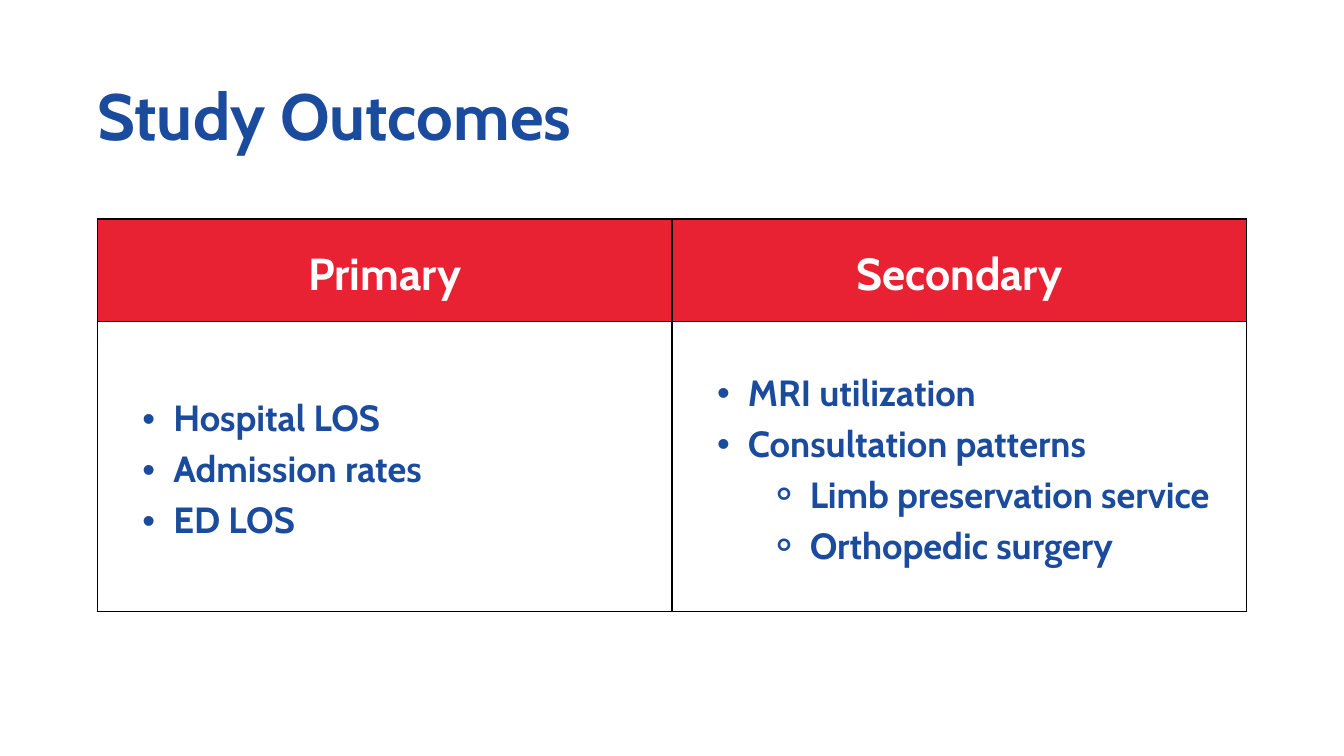
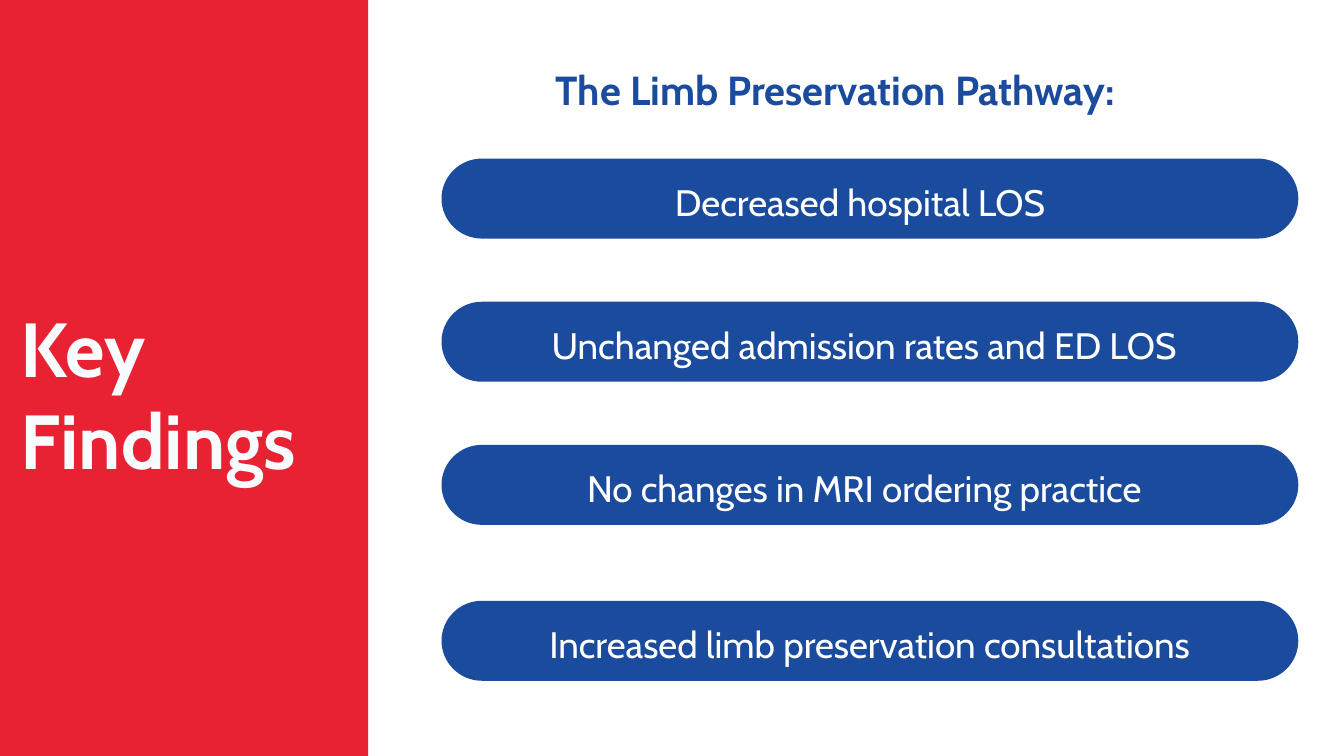
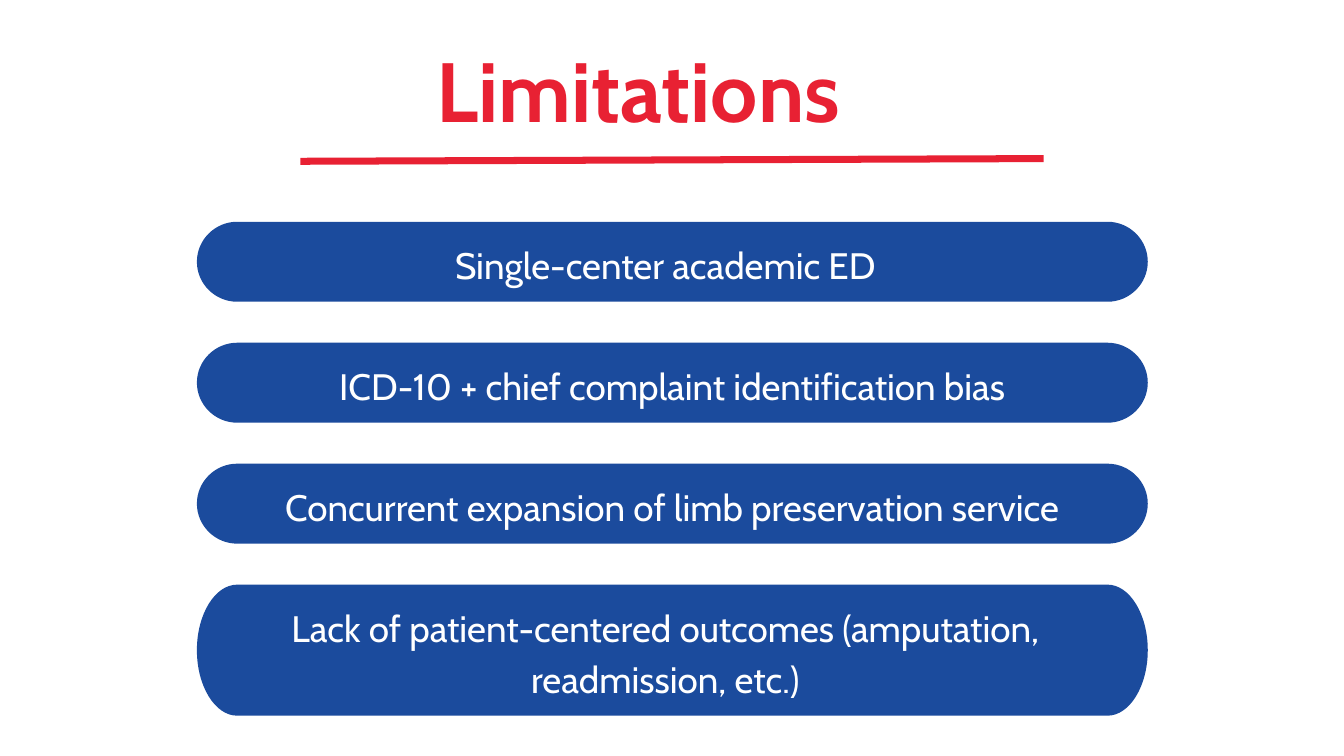
from lxml.etree import SubElement
from pptx import Presentation
from pptx.dml.color import RGBColor
from pptx.enum.shapes import MSO_CONNECTOR, MSO_SHAPE
from pptx.enum.text import MSO_ANCHOR, MSO_AUTO_SIZE, PP_ALIGN
from pptx.oxml.ns import qn
from pptx.util import Inches, Pt

COLORS = {
    "red": "E82133",
    "blue": "1B4B9D",
    "white": "FFFFFF",
    "ice": "F9FCFF",
    "black": "000000",
}
FONT = "Cabin"
PILL_HEIGHT = 1.19
PILL_END = 0.6
LINE_HEIGHT = 0.76
ARC = 0.55  # handle length of a quarter ellipse
BULLETS = {1: ("•", 0.92, -0.46), 2: ("⚬", 1.84, -0.61)}


def rgb(name):
    return RGBColor.from_string(COLORS[name])


def write(p, text, size, spacing, color="blue", bold=False, align=PP_ALIGN.LEFT):
    p.alignment = align
    p.line_spacing = Pt(spacing)
    r = p.add_run()
    r.text = text
    r.font.name = FONT
    r.font.size = Pt(size)
    r.font.bold = bold
    r.font.color.rgb = rgb(color)


def set_frame(tf):
    tf.word_wrap = True
    tf.auto_size = MSO_AUTO_SIZE.NONE
    tf.vertical_anchor = MSO_ANCHOR.TOP
    tf.margin_left = tf.margin_right = tf.margin_top = tf.margin_bottom = 0


def place(shape, left, top, width, height):
    shape.left, shape.top = Inches(left), Inches(top)
    shape.width, shape.height = Inches(width), Inches(height)


def add_title_slide(prs, text, box, size, spacing, color):
    """Add a title-only slide and format its title."""
    s = prs.slides.add_slide(prs.slide_layouts[5])
    title = s.shapes.title
    place(title, *box)
    set_frame(title.text_frame)
    write(title.text_frame.paragraphs[0], text, size, spacing, color, bold=True)
    return s


def add_text(shapes, text, box, size, spacing, **fmt):
    tb = shapes.add_textbox(*map(Inches, box))
    set_frame(tb.text_frame)
    write(tb.text_frame.paragraphs[0], text, size, spacing, **fmt)


def fill_shape(sp, color):
    sp.shadow.inherit = False
    sp.fill.solid()
    sp.fill.fore_color.rgb = rgb(color)
    sp.line.fill.background()


def round_corners(sp):
    """Turn each slanted segment of an outline into a quarter ellipse."""
    points = list(sp.element.iter(qn("a:pt")))
    from_edge = True
    for start, end in zip(points, points[1:]):
        x0, y0, x1, y1 = (int(pt.get(axis)) for pt in (start, end) for axis in "xy")
        if y0 == y1:
            continue
        dx, dy = ARC * (x1 - x0), ARC * (y1 - y0)
        if from_edge:
            handles = (x0 + dx, y0), (x1, y1 - dy)
        else:
            handles = (x0, y0 + dy), (x1 - dx, y1)
        from_edge = not from_edge
        segment = end.getparent()
        curve = SubElement(segment.getparent(), qn("a:cubicBezTo"))
        for x, y in handles:
            SubElement(curve, qn("a:pt"), x=str(round(x)), y=str(round(y)))
        segment.addprevious(curve)
        curve.append(end)
        segment.getparent().remove(segment)


def add_pill(s, text, left, top, width, center, text_width, lines=1):
    """Add a bar with elliptical ends and its label, as one group."""
    extra = LINE_HEIGHT * (lines - 1)
    right, bottom = left + width, top + PILL_HEIGHT + extra
    inner_left, inner_right, middle = left + PILL_END, right - PILL_END, (top + bottom) / 2
    points = [(Inches(x), Inches(y)) for x, y in (
        (inner_right, bottom), (inner_left, bottom), (left, middle),
        (inner_left, top), (inner_right, top), (right, middle), (inner_right, bottom))]
    group = s.shapes.add_group_shape()
    outline = group.shapes.build_freeform(*points[0])
    outline.add_line_segments(points[1:], close=True)
    pill = outline.convert_to_shape()
    round_corners(pill)
    fill_shape(pill, "blue")
    box = (center - text_width / 2, top + 0.2, text_width, 0.72 + extra)
    add_text(group.shapes, text, box, 39.4, 55.2, color="white", align=PP_ALIGN.CENTER)


def add_bullet(p, level, text):
    char, margin, indent = BULLETS[level]
    p.level = level
    pPr = p._p.get_or_add_pPr()
    pPr.set("marL", str(Inches(margin)))
    pPr.set("indent", str(Inches(indent)))
    SubElement(pPr, qn("a:buFont"), typeface="Arial")
    SubElement(pPr, qn("a:buChar"), char=char)
    write(p, text, 39, 54.6, bold=True)


def set_borders(cell):
    tcPr = cell._tc.get_or_add_tcPr()
    for i, side in enumerate(("lnL", "lnR", "lnT", "lnB")):
        ln = SubElement(tcPr, qn(f"a:{side}"), w=str(Pt(1.5)))
        color = SubElement(SubElement(ln, qn("a:solidFill")), qn("a:srgbClr"))
        color.set("val", COLORS["black"])
        tcPr.insert(i, ln)


def add_outcome_table(s, columns):
    frame = s.shapes.add_table(2, len(columns), Inches(1.45), Inches(3.26),
                               Inches(17.1), Inches(5.84))
    table = frame.table
    table.horz_banding = False
    for row, height in zip(table.rows, (1.52, 4.32)):
        row.height = Inches(height)
    for col, (heading, items) in enumerate(columns):
        head, body = table.cell(0, col), table.cell(1, col)
        for cell in (head, body):
            cell.vertical_anchor = MSO_ANCHOR.MIDDLE
            cell.margin_left = cell.margin_right = Inches(0.21)
            cell.margin_top = cell.margin_bottom = Inches(0.21)
            set_borders(cell)
        head.fill.solid()
        head.fill.fore_color.rgb = rgb("red")
        body.fill.background()
        write(head.text_frame.paragraphs[0], heading, 48, 67.2,
              color="white", bold=True, align=PP_ALIGN.CENTER)
        tf = body.text_frame
        for i, (level, text) in enumerate(items):
            add_bullet(tf.add_paragraph() if i else tf.paragraphs[0], level, text)


def add_outcomes(prs):
    s = add_title_slide(prs, "Study Outcomes", (1.45, 1.12, 8.63, 1.17), 70, 84, "blue")
    add_outcome_table(s, [
        ("Primary", [(1, "Hospital LOS"), (1, "Admission rates"), (1, "ED LOS")]),
        ("Secondary", [(1, "MRI utilization"), (1, "Consultation patterns"),
                       (2, "Limb preservation service"), (2, "Orthopedic surgery")]),
    ])


def add_findings(prs):
    s = add_title_slide(prs, "Key Findings", (0.31, 4.48, 4.78, 2.74), 82, 98.4, "ice")
    band = s.shapes.add_shape(MSO_SHAPE.RECTANGLE, Inches(-0.78), 0,
                              Inches(6.26), prs.slide_height)
    fill_shape(band, "red")
    s.shapes.title.element.addprevious(band.element)  # band goes behind the title
    add_text(s.shapes, "The Limb Preservation Pathway:", (8.27, 0.85, 9.34, 0.81),
             43.4, 60.7, bold=True)
    for text, top, center in (
        ("Decreased hospital LOS ", 2.36, 12.86),
        ("Unchanged admission rates and ED LOS", 4.49, 12.86),
        ("No changes in MRI ordering practice", 6.62, 12.86),
        ("Increased limb preservation consultations", 8.94, 12.94),
    ):
        add_pill(s, text, 6.57, top, 12.75, center, 10.6)


def add_limitations(prs):
    s = add_title_slide(prs, "Limitations", (6.5, 0.57, 7, 1.49), 90, 108, "red")
    rule = s.shapes.add_connector(MSO_CONNECTOR.STRAIGHT, Inches(4.47), Inches(2.4),
                                  Inches(15.53), Inches(2.36))
    rule.line.color.rgb = rgb("red")
    rule.line.width = Pt(7.5)
    SubElement(rule.element.spPr, qn("a:effectLst"))
    for i, (text, center, text_width, lines) in enumerate((
        ("Single-center academic ED", 9.9, 11.76, 1),
        ("ICD-10 + chief complaint identification bias", 10, 13.02, 1),
        ("Concurrent expansion of limb preservation service", 10, 13.02, 1),
        ("Lack of patient-centered outcomes (amputation, readmission, etc.)",
         9.9, 11.76, 2),
    )):
        add_pill(s, text, 2.93, 3.3 + 1.8 * i, 14.15, center, text_width, lines)


def main():
    prs = Presentation()
    prs.slide_width, prs.slide_height = Inches(20), Inches(11.25)
    add_outcomes(prs)
    add_findings(prs)
    add_limitations(prs)
    prs.save("out.pptx")


if __name__ == "__main__":
    main()
